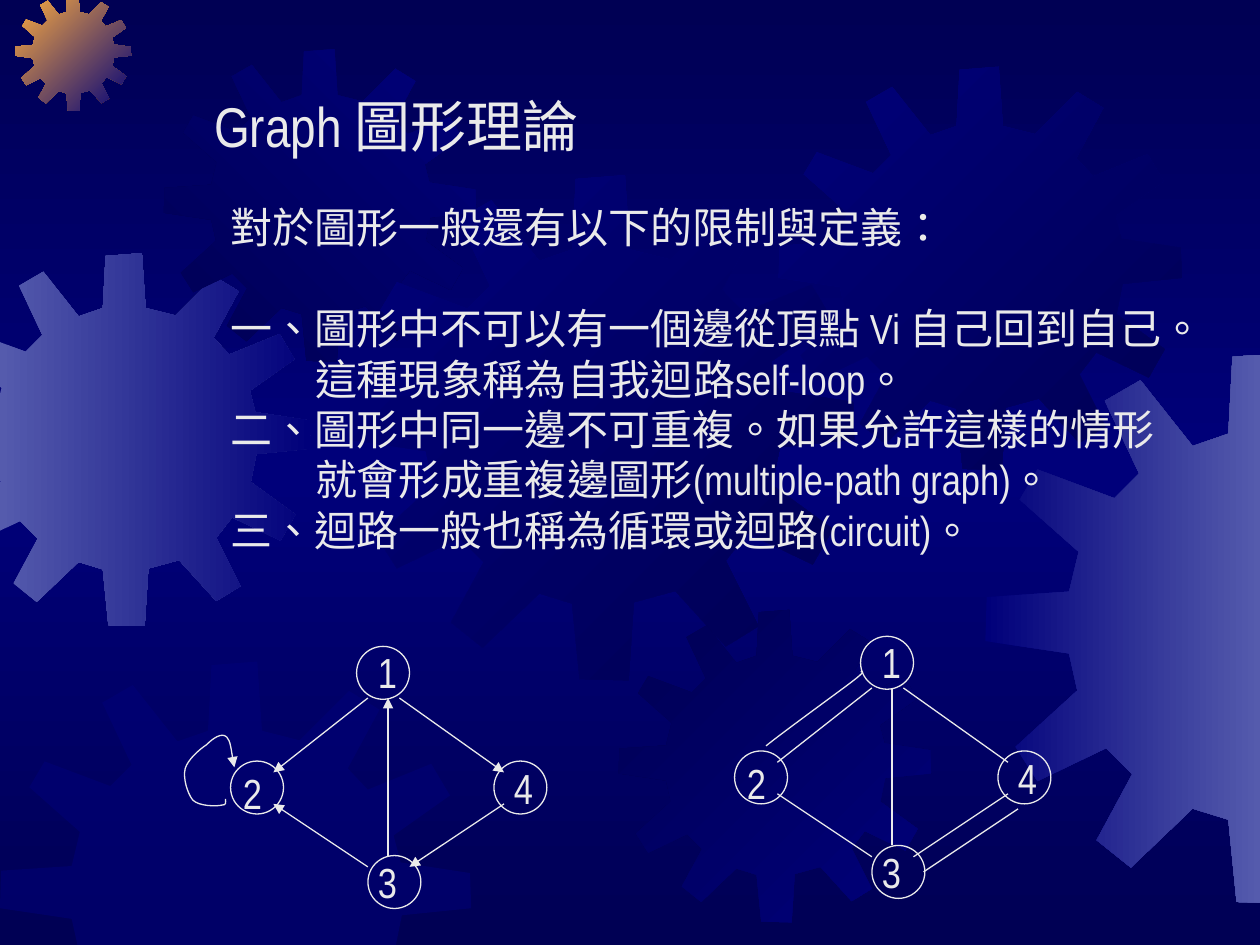
from copy import deepcopy
from dataclasses import dataclass

from lxml import etree
from pptx import Presentation
from pptx.dml.color import RGBColor
from pptx.enum.lang import MSO_LANGUAGE_ID
from pptx.enum.shapes import MSO_CONNECTOR, MSO_SHAPE
from pptx.enum.text import MSO_ANCHOR, MSO_AUTO_SIZE, PP_ALIGN
from pptx.oxml.ns import qn
from pptx.util import Inches, Pt

STRAIGHT = MSO_CONNECTOR.STRAIGHT
OVAL = MSO_SHAPE.OVAL
TOP = MSO_ANCHOR.TOP
NO_AUTOFIT = MSO_AUTO_SIZE.NONE
LEFT = PP_ALIGN.LEFT
CHINESE = MSO_LANGUAGE_ID.TRADITIONAL_CHINESE


@dataclass(frozen=True)
class Theme:
    ink: str = "EAEAEA"
    dark: str = "000054"
    navy: str = "00007A"
    steel: str = "555BAD"
    orange: str = "FCAB40"
    font: str = "Arial Narrow"
    title_size: int = 32
    text_size: int = 24
    line_width: float = 0.75


THEME = Theme()
SLIDE_SIZE = (10, 7.5)

# One gear outline, scaled for every gear in the backdrop
GEAR_SIZE = 4.01
GEAR = [
    (2.55, 0.67), (2.23, 0.59), (2.19, 0), (1.8, 0.03), (1.77, 0.59), (1.51, 0.68),
    (1.13, 0.2), (0.87, 0.35), (1.12, 0.88), (0.94, 1.06), (0.38, 0.85), (0.25, 1.07),
    (0.68, 1.45), (0.61, 1.74), (0.01, 1.78), (0, 2.1), (0.61, 2.19), (0.67, 2.46),
    (0.22, 2.87), (0.38, 3.12), (0.88, 2.88), (1.07, 3.07), (0.81, 3.55), (1.06, 3.75),
    (1.51, 3.32), (1.77, 3.4), (1.83, 4), (2.22, 4.01), (2.26, 3.39), (2.59, 3.3),
    (2.99, 3.74), (3.25, 3.58), (2.99, 3.06), (3.16, 2.84), (3.68, 3.09), (3.84, 2.81),
    (3.36, 2.46), (3.42, 2.16), (4.01, 2.1), (4, 1.8), (3.41, 1.71), (3.35, 1.48),
    (3.83, 1.14), (3.67, 0.87), (3.13, 1.09), (2.96, 0.91), (3.23, 0.41), (2.97, 0.25),
]
# left, top, size, first colour, last colour, clockwise angle (None: half-clear)
GEARS = [
    (-0.49, 2.01, 2.96, THEME.steel, THEME.navy, 0),
    (0.12, -0.04, 0.92, THEME.orange, THEME.navy, 45),
    (1.3, 0.39, 2.48, THEME.dark, THEME.navy, 315),
    (2.77, 1.39, 4.01, THEME.navy, THEME.dark, 45),
    (0, 5.25, 3.74, THEME.navy, THEME.navy, None),
    (4.91, 4.84, 2.48, THEME.dark, THEME.navy, 45),
    (6.18, 0.53, 3.2, THEME.navy, THEME.dark, 45),
    (7.82, 2.8, 4.37, THEME.navy, THEME.steel, 0),
]

# text, hanging under the item above
DEFINITIONS = [
    ("對於圖形一般還有以下的限制與定義：", False),
    ("一、圖形中不可以有一個邊從頂點 Vi 自己回到自己。", False),
    ("這種現象稱為自我迴路self-loop。", True),
    ("二、圖形中同一邊不可重複。如果允許這樣的情形", False),
    ("就會形成重複邊圖形(multiple-path graph)。", True),
    ("三、迴路一般也稱為循環或迴路(circuit)。", False),
]

# Vertices: label, circle corner, label corner
VERTEX_SIZE = 0.42
VERTICES = [
    ("1", (2.83, 5.13), (2.9, 5.08)),
    ("2", (1.83, 6.04), (1.83, 6.04)),
    ("3", (2.92, 6.79), (2.9, 6.75)),
    ("4", (3.92, 6.04), (3.98, 6)),
]
EDGES = [
    ((2.92, 5.54), (2.17, 6.13)),
    ((2.92, 6.88), (2.17, 6.38)),
    ((3.08, 6.79), (3.08, 5.54)),
    ((3.17, 5.54), (4, 6.13)),
    ((4, 6.38), (3.25, 6.88)),
]
SELF_LOOP = [
    (1.79, 6.34), (1.79, 6.37), (1.8, 6.39), (1.76, 6.39), (1.72, 6.4), (1.58, 6.4),
    (1.53, 6.35), (1.49, 6.3), (1.45, 6.18), (1.47, 6.1), (1.49, 6.03), (1.58, 5.95),
    (1.64, 5.91), (1.69, 5.86), (1.76, 5.81), (1.8, 5.85), (1.83, 5.88), (1.85, 6.05),
    (1.86, 6.09),
]
SECOND_EDGE = [
    (6.83, 5.33), (6.85, 5.33), (6.88, 5.32), (6.75, 5.42), (6.63, 5.51),
    (6.19, 5.83), (6.08, 5.92),
]


def rgb(colour):
    return RGBColor.from_string(colour)


def set_gradient(fill, first, last, angle):
    fill.gradient()
    fill.gradient_angle = (360 - angle) % 360
    for stop, colour in zip(fill.gradient_stops, (first, last)):
        stop.color.rgb = rgb(colour)


def paint_background(slide):
    set_gradient(slide.background.fill, THEME.dark, THEME.navy, 90)
    stops = next(slide._element.iter(qn("a:gsLst")))
    stops.append(deepcopy(stops[0]))
    stops[1].set("pos", "50000")
    stops[2].set("pos", "100000")


def clip(points, axis, limit, side):
    """Keep the part of a polygon on one side of a slide edge."""
    kept = []
    for start, end in zip(points[-1:] + points[:-1], points):
        start_gap, end_gap = (side * (p[axis] - limit) for p in (start, end))
        if start_gap * end_gap < 0:
            t = start_gap / (start_gap - end_gap)
            kept.append(tuple(a + t * (b - a) for a, b in zip(start, end)))
        if end_gap >= 0:
            kept.append(end)
    return kept


def add_outline(shapes, points, close):
    corners = [(Inches(x), Inches(y)) for x, y in points]
    builder = shapes.build_freeform(*corners[0], scale=1.0)
    builder.add_line_segments(corners[1:], close=close)
    outline = builder.convert_to_shape()
    outline.shadow.inherit = False
    return outline


def add_gear(shapes, left, top, size, first, last, angle):
    scale = size / GEAR_SIZE
    points = [(left + x * scale, top + y * scale) for x, y in GEAR]
    for axis, limit in enumerate(SLIDE_SIZE):
        points = clip(clip(points, axis, 0, 1), axis, limit, -1)
    gear = add_outline(shapes, points, True)
    gear.line.fill.background()
    if angle is None:
        gear.fill.solid()
        gear.fill.fore_color.rgb = rgb(first)
        colour = next(gear._element.spPr.iter(qn("a:srgbClr")))
        etree.SubElement(colour, qn("a:alpha"), val="50000")
    else:
        set_gradient(gear.fill, first, last, angle)


def style_line(line, arrow=False):
    line.color.rgb = rgb(THEME.ink)
    line.width = Pt(THEME.line_width)
    if arrow:
        etree.SubElement(line._get_or_add_ln(), qn("a:tailEnd"), type="triangle")


def add_curve(shapes, points, arrow=False):
    curve = add_outline(shapes, points, False)
    curve.fill.background()
    style_line(curve.line, arrow)
    # Each three line segments become one Bezier segment
    segments = list(curve._element.iter(qn("a:lnTo")))
    for i in range(0, len(segments), 3):
        bezier = etree.SubElement(segments[i].getparent(), qn("a:cubicBezTo"))
        for segment in segments[i:i + 3]:
            bezier.append(segment[0])
            segment.getparent().remove(segment)


def add_edge(shapes, start, end, arrow=False):
    edge = shapes.add_connector(STRAIGHT, *map(Inches, start + end))
    style_line(edge.line, arrow)
    etree.SubElement(edge._element.spPr, qn("a:effectLst"))


def format_paragraph(paragraph, size, indent=0):
    properties = paragraph._p.get_or_add_pPr()
    properties.set("marL", str(Inches(indent)))
    properties.set("indent", "0")
    etree.SubElement(properties, qn("a:buNone"))
    paragraph.alignment = LEFT
    paragraph.space_before = Pt(0)
    paragraph.font.name = THEME.font
    paragraph.font.size = Pt(size)
    paragraph.font.color.rgb = rgb(THEME.ink)
    paragraph.font.language_id = CHINESE


def fill_text(box, lines, size, wrap):
    frame = box.text_frame
    frame.text = "\n".join(text for text, _ in lines)
    frame.word_wrap = wrap
    frame.auto_size = NO_AUTOFIT
    frame.vertical_anchor = TOP
    for paragraph, (_, hanging) in zip(frame.paragraphs, lines):
        format_paragraph(paragraph, size, 0.67 if hanging else 0)


def place(slide, placeholder, left, top, width, height):
    placeholder.left, placeholder.top = Inches(left), Inches(top)
    placeholder.width, placeholder.height = Inches(width), Inches(height)
    slide.shapes._spTree.append(placeholder._element)  # in front of the gears


def add_graph(slide, dx, dy, directed):
    shapes = slide.shapes.add_group_shape().shapes

    def moved(point):
        return point[0] + dx, point[1] + dy

    for _, corner, _ in VERTICES:
        size = Inches(VERTEX_SIZE)
        vertex = shapes.add_shape(OVAL, *map(Inches, moved(corner)), size, size)
        vertex.shadow.inherit = False
        vertex.fill.background()
        style_line(vertex.line)
    for start, end in EDGES:
        add_edge(shapes, moved(start), moved(end), directed)
    for text, _, corner in VERTICES:
        label = shapes.add_textbox(*map(Inches, moved(corner) + (0.35, 0.5)))
        fill_text(label, [(text, False)], THEME.text_size, False)


def main():
    deck = Presentation()
    deck.slide_width, deck.slide_height = map(Inches, SLIDE_SIZE)
    slide = deck.slides.add_slide(deck.slide_layouts[1])
    title, body = slide.placeholders

    # Backdrop
    paint_background(slide)
    for gear in GEARS:
        add_gear(slide.shapes, *gear)

    # Title and definitions
    place(slide, title, 1.6, 0.68, 3.6, 0.64)
    fill_text(title, [("Graph 圖形理論", False)], THEME.title_size, True)
    place(slide, body, 1.73, 1.55, 8.1, 2.9)
    fill_text(body, DEFINITIONS, THEME.text_size, True)
    body.text_frame.paragraphs[0].space_after = Pt(29)

    # Directed graph with a self-loop
    add_graph(slide, 0, 0, True)
    add_curve(slide.shapes, SELF_LOOP, True)

    # Undirected graph with doubled edges
    add_graph(slide, 4, -0.08, False)
    add_curve(slide.shapes, SECOND_EDGE)
    add_edge(slide.shapes, (7.33, 6.92), (8.08, 6.42))

    deck.save("out.pptx")


if __name__ == "__main__":
    main()
